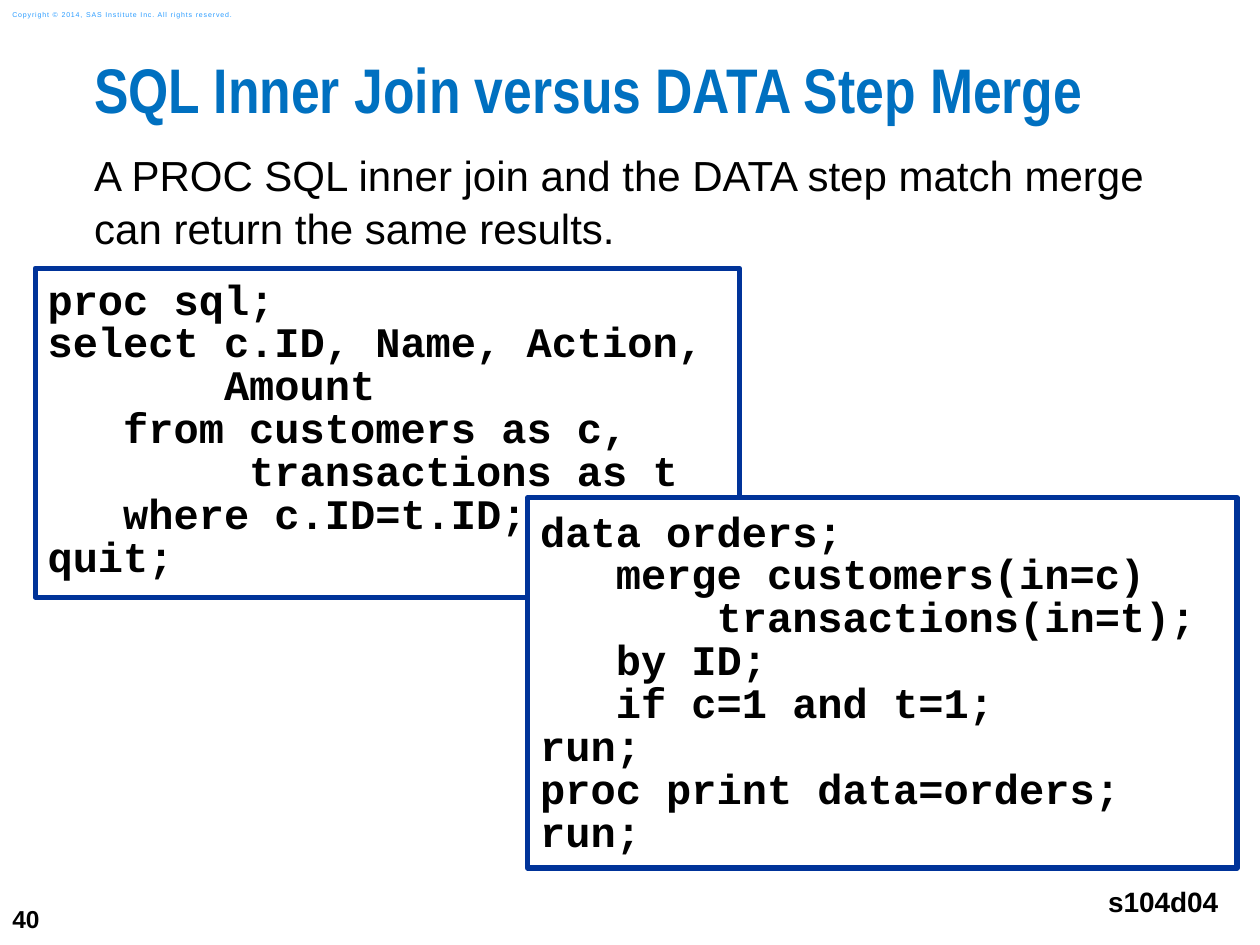
from lxml import etree
from pptx import Presentation
from pptx.dml.color import RGBColor
from pptx.enum.shapes import MSO_SHAPE
from pptx.enum.text import MSO_ANCHOR, MSO_AUTO_SIZE, PP_ALIGN
from pptx.util import Cm, Pt

COLORS = {"title": "0070C0", "text": "000000", "paper": "FFFFFF",
          "border": "003399", "copyright": "2A9CFF"}

TITLE = "SQL Inner Join versus DATA Step Merge"
INTRO = ("A PROC SQL inner join and the DATA step match merge "
         "can return the same results.")
COPYRIGHT = "Copyright © 2014, SAS Institute Inc. All rights reserved."
PAGE_NUMBER = "40"
PROGRAM_NAME = "s104d04"

SQL_CODE = """\
proc sql;
select c.ID, Name, Action,
       Amount
   from customers as c,
        transactions as t
   where c.ID=t.ID;
quit;"""

MERGE_CODE = """\
data orders;
   merge customers(in=c)
       transactions(in=t);
   by ID;
   if c=1 and t=1;
run;
proc print data=orders;
run;"""

# Code, place (left, top, width, height in cm) and anchor, back to front
CODE_PANELS = [
    (SQL_CODE, (0.71, 5.41, 14.2, 6.63), MSO_ANCHOR.TOP),
    (MERGE_CODE, (10.64, 10.03, 14.3, 7.47), MSO_ANCHOR.BOTTOM),
]


def color(name):
    return RGBColor.from_string(COLORS[name])


def place(shape, left, top, width, height):
    shape.left, shape.top = Cm(left), Cm(top)
    shape.width, shape.height = Cm(width), Cm(height)


def write(shape, text, size, font="Arial", ink="text", bold=False,
          align=PP_ALIGN.LEFT, anchor=MSO_ANCHOR.TOP, inset=(0, 0),
          wrap=True, line_spacing=1.0, tracking=None):
    """Fill a shape with one paragraph per line; inset is (sides, top and bottom) in cm."""
    frame = shape.text_frame
    frame.auto_size = MSO_AUTO_SIZE.NONE
    frame.word_wrap = wrap
    frame.vertical_anchor = anchor
    frame.margin_left = frame.margin_right = Cm(inset[0])
    frame.margin_top = frame.margin_bottom = Cm(inset[1])
    for index, line in enumerate(text.split("\n")):
        para = frame.add_paragraph() if index else frame.paragraphs[0]
        para.alignment = align
        para.line_spacing = line_spacing
        para.space_before = para.space_after = Pt(0)
        span = para.add_run()
        span.text = line
        span.font.name = font
        span.font.size = Pt(size)
        span.font.bold = bold
        span.font.color.rgb = color(ink)
        if tracking:
            span.font._element.set("spc", str(round(tracking * 100)))


def add_label(page, text, at, **style):
    box = page.shapes.add_textbox(*map(Cm, at))
    write(box, text, **style)


def add_code_panel(page, code, at, anchor):
    panel = page.shapes.add_shape(MSO_SHAPE.RECTANGLE, *map(Cm, at))
    panel.shadow.inherit = False
    panel.fill.solid()
    panel.fill.fore_color.rgb = color("paper")
    panel.line.color.rgb = color("border")
    panel.line.width = Pt(3)
    write(panel, code, size=24, font="Courier New", bold=True,
          anchor=anchor, inset=(0.25, 0.25), line_spacing=0.85)


def main():
    deck = Presentation()
    deck.slide_width, deck.slide_height = Cm(25.4), Cm(19.05)
    page = deck.slides.add_slide(deck.slide_layouts[5])

    title = page.shapes.title
    place(title, 1.9, 1.27, 23.5, 1.9)
    write(title, TITLE, size=36, font="Arial Narrow", ink="title", bold=True,
          line_spacing=0.83)

    add_label(page, PAGE_NUMBER, (0, 17.98, 1.47, 1.07), size=14, bold=True,
              anchor=MSO_ANCHOR.MIDDLE, inset=(0.25, 0.13), wrap=False)
    add_label(page, COPYRIGHT, (0, 0.08, 5.36, 0.43), size=4, ink="copyright",
              anchor=MSO_ANCHOR.MIDDLE, inset=(0.25, 0.13), tracking=0.5)
    add_label(page, INTRO, (1.9, 2.97, 21.8, 2.24), size=24, line_spacing=1.05)
    add_label(page, PROGRAM_NAME, (22.07, 17.58, 2.74, 1.19), size=16, bold=True,
              align=PP_ALIGN.RIGHT, inset=(0.25, 0.25), wrap=False)
    for code, at, anchor in CODE_PANELS:
        add_code_panel(page, code, at, anchor)

    deck.save("out.pptx")


if __name__ == "__main__":
    main()
